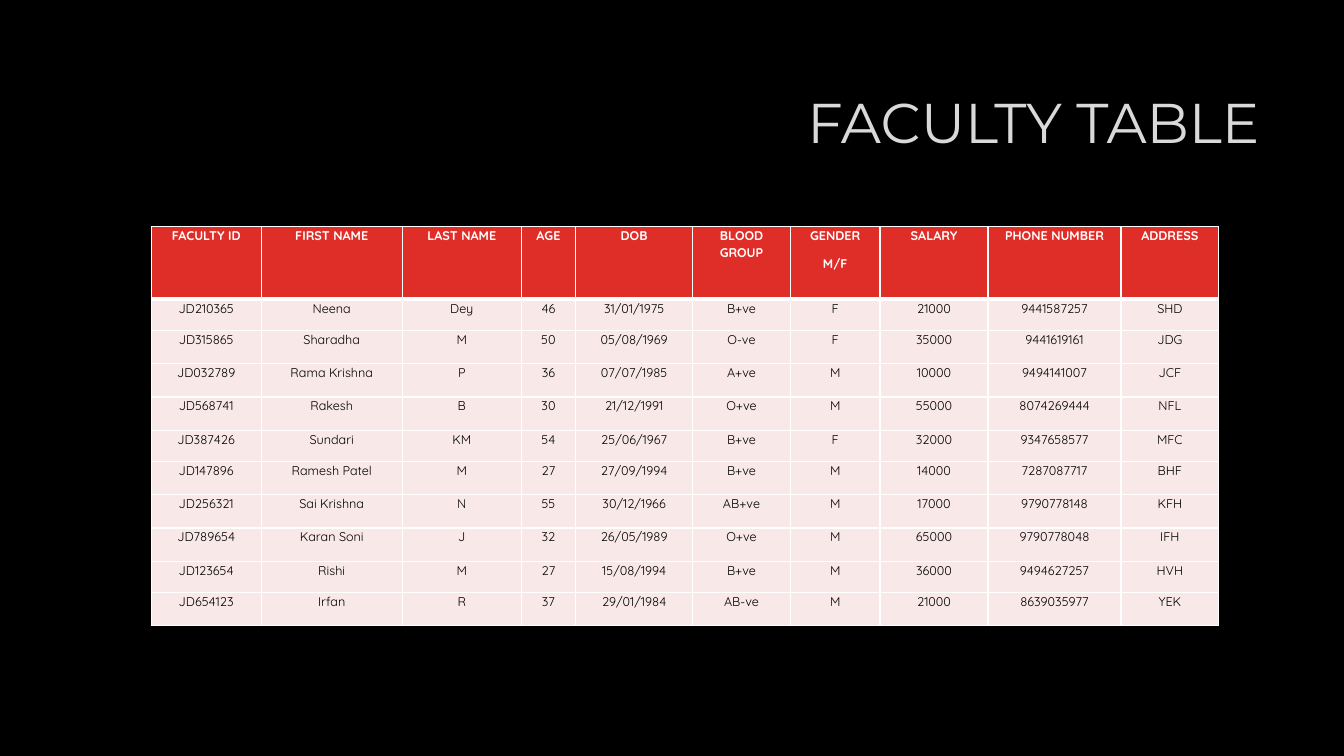
from lxml import etree
from pptx import Presentation
from pptx import util as u
from pptx.dml.color import RGBColor
from pptx.enum import text
from pptx.oxml.ns import qn

COLORS = {
    "background": "000000",
    "title": "D9D9D9",
    "white": "FFFFFF",
    "header": "DF2E28",
    "body": "F9E8E8",
    "ink": "000000",
}
COLUMN_WIDTHS = [1.09, 1.4, 1.18, 0.54, 1.16, 0.97, 0.89, 1.07, 1.32, 0.97]
ROW_HEIGHTS = [0.72, 0.31, 0.33, 0.33, 0.33, 0.31, 0.33, 0.33, 0.33, 0.31, 0.33]
HEADINGS = ["FACULTY ID", "FIRST NAME", "LAST NAME", "AGE", "DOB", "BLOOD GROUP",
            "GENDER\nM/F", "SALARY", "PHONE NUMBER", "ADDRESS"]
FACULTY = """\
JD210365,Neena,Dey,46,31/01/1975,B+ve,F,21000,9441587257,SHD
JD315865,Sharadha,M,50,05/08/1969,O-ve,F,35000,9441619161,JDG
JD032789,Rama Krishna,P,36,07/07/1985,A+ve,M,10000,9494141007,JCF
JD568741,Rakesh,B,30,21/12/1991,O+ve,M,55000,8074269444,NFL
JD387426,Sundari,KM,54,25/06/1967,B+ve,F,32000,9347658577,MFC
JD147896,Ramesh Patel,M,27,27/09/1994,B+ve,M,14000,7287087717,BHF
JD256321,Sai Krishna,N,55,30/12/1966,AB+ve,M,17000,9790778148,KFH
JD789654,Karan Soni,J,32,26/05/1989,O+ve,M,65000,9790778048,IFH
JD123654,Rishi,M,27,15/08/1994,B+ve,M,36000,9494627257,HVH
JD654123,Irfan,R,37,29/01/1984,AB-ve,M,21000,8639035977,YEK"""


def rgb(name):
    return RGBColor.from_string(COLORS[name])


def add_line(parent, tag, index, color, width):
    ln = etree.Element(qn(tag), w=str(u.Pt(width)))
    fill = etree.SubElement(ln, qn("a:solidFill"))
    etree.SubElement(fill, qn("a:srgbClr"), val=COLORS[color])
    parent.insert(index, ln)


def write(tf, content, font, size, color, bold=False, align=text.PP_ALIGN.CENTER,
          spacing=1.07, after=0, outline=None):
    tf.word_wrap = True
    for i, line in enumerate(content.split("\n")):
        p = tf.paragraphs[0] if i == 0 else tf.add_paragraph()
        p.alignment = align
        p.line_spacing = spacing
        p.space_before = u.Pt(0)
        p.space_after = u.Pt(after)
        r = p.add_run()
        r.text = line
        r.font.name = font
        r.font.size = u.Pt(size)
        r.font.bold = bold
        r.font.color.rgb = rgb(color)
        if outline:
            add_line(r.font._element, "a:ln", 0, outline, 0.75)


class Deck:
    title_font = "Montserrat"
    table_font = "Quicksand"

    def __init__(self):
        self.prs = Presentation()
        self.prs.slide_width = u.Inches(13.33)
        self.prs.slide_height = u.Inches(7.5)
        self.s = self.prs.slides.add_slide(self.prs.slide_layouts[5])
        self.s.background.fill.solid()
        self.s.background.fill.fore_color.rgb = rgb("background")

    def title(self, content, left, top, width, height):
        sp = self.s.shapes.title
        sp.left, sp.top = u.Inches(left), u.Inches(top)
        sp.width, sp.height = u.Inches(width), u.Inches(height)
        tf = sp.text_frame
        tf.auto_size = text.MSO_AUTO_SIZE.NONE
        tf.vertical_anchor = text.MSO_ANCHOR.MIDDLE
        tf.margin_bottom = u.Inches(0.66)
        write(tf, content, self.title_font, 40, "title", align=text.PP_ALIGN.RIGHT,
              spacing=0.9, outline="white")

    def table(self, rows, left, top, widths, heights):
        frame = self.s.shapes.add_table(
            len(rows), len(widths), u.Inches(left), u.Inches(top),
            u.Inches(sum(widths)), u.Inches(sum(heights)))
        table = frame.table
        for column, width in zip(table.columns, widths):
            column.width = u.Inches(width)
        for row, height in zip(table.rows, heights):
            row.height = u.Inches(height)
        for i, values in enumerate(rows):
            for j, value in enumerate(values):
                self.cell(table.cell(i, j), value, i)

    def cell(self, cell, value, row):
        header = row == 0
        cell.margin_left = cell.margin_right = u.Inches(0.06)
        cell.margin_top = cell.margin_bottom = 0
        cell.vertical_anchor = text.MSO_ANCHOR.TOP
        cell.fill.solid()
        cell.fill.fore_color.rgb = rgb("header" if header else "body")
        write(cell.text_frame, value, self.table_font, 9,
              "white" if header else "ink", bold=header, after=8)
        tc_pr = cell._tc.get_or_add_tcPr()
        borders = {"a:lnL": 1, "a:lnR": 1, "a:lnT": 3 if row == 1 else 1,
                   "a:lnB": 3 if header else 1}
        for index, (tag, width) in enumerate(borders.items()):
            add_line(tc_pr, tag, index, "white", width)


def main():
    deck = Deck()
    deck.title("FACULTY TABLE", 3.17, 0.84, 9.42, 1.41)
    rows = [HEADINGS] + [line.split(",") for line in FACULTY.splitlines()]
    deck.table(rows, 1.5, 2.25, COLUMN_WIDTHS, ROW_HEIGHTS)
    deck.prs.save("out.pptx")


if __name__ == "__main__":
    main()
